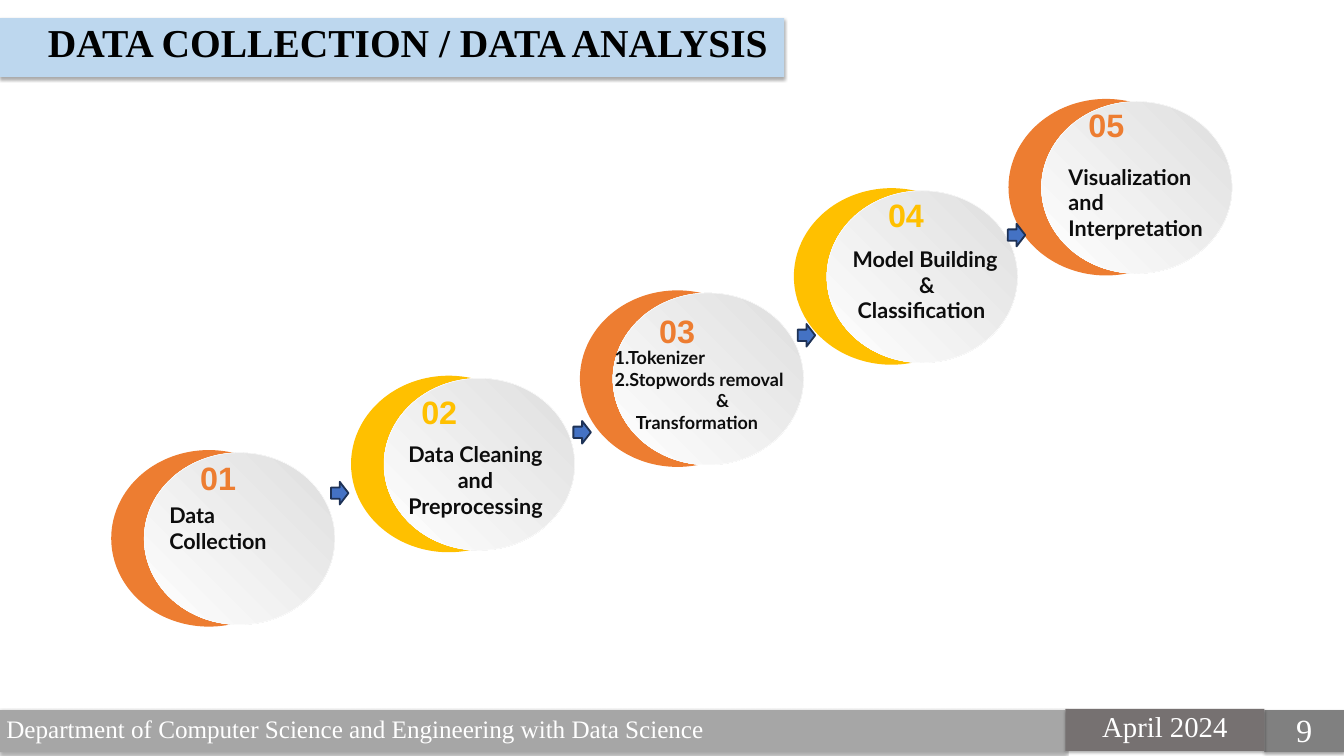
import pptx
import pptx.util
import pptx.dml.color
import pptx.enum.shapes
import pptx.enum.text
import pptx.oxml
import pptx.oxml.ns

Inches, Pt = pptx.util.Inches, pptx.util.Pt
RGBColor = pptx.dml.color.RGBColor
Shapes = pptx.enum.shapes.MSO_SHAPE
Align = pptx.enum.text.PP_ALIGN
LEFT, CENTER = Align.LEFT, Align.CENTER

BLACK = RGBColor(0x00, 0x00, 0x00)
WHITE = RGBColor(0xFF, 0xFF, 0xFF)
INK = RGBColor(0x0D, 0x0D, 0x0D)
TITLE_BLUE = RGBColor(0xBD, 0xD7, 0xEE)
FOOTER_GRAY = RGBColor(0xA6, 0xA6, 0xA6)
DATE_GRAY = RGBColor(0x76, 0x71, 0x71)
NUMBER_GRAY = RGBColor(0x80, 0x80, 0x80)
DISC_GRAY = RGBColor(0xDE, 0xDE, 0xDE)
ORANGE = RGBColor(0xED, 0x7D, 0x31)
GOLD = RGBColor(0xFF, 0xC0, 0x00)
ARROW_BLUE = RGBColor(0x44, 0x72, 0xC4)
ARROW_EDGE = RGBColor(0x1E, 0x32, 0x56)

SHADOW = (
    f'<a:effectLst {pptx.oxml.ns.nsdecls("a")}>'
    f'<a:outerShdw blurRad="{Pt(3.5)}" dist="{Pt(2.2)}" dir="5400000" rotWithShape="0">'
    '<a:srgbClr val="000000"><a:alpha val="32000"/></a:srgbClr>'
    '</a:outerShdw></a:effectLst>'
)


class Page:
    """The current slide and its style."""

    serif, number_font, label_font = "Times New Roman", "Arial", "Lato"

    def __init__(self, deck):
        self.shapes = deck.slides.add_slide(deck.slide_layouts[6]).shapes

    def set_lines(self, frame, lines, font, size, color, bold=False):
        """Each line is (text, alignment, left indent in inches)."""
        frame.word_wrap = True
        frame.text = "\n".join(line[0] for line in lines)
        for para, (_, align, indent) in zip(frame.paragraphs, lines):
            para.alignment = align
            if indent:
                para._p.get_or_add_pPr().set("marL", str(Inches(indent)))
            for span in para.runs:
                span.font.name, span.font.size = font, Pt(size)
                span.font.bold, span.font.color.rgb = bold, color

    def text(self, left, top, width, height, lines, font, size, color, bold=False):
        box = self.shapes.add_textbox(Inches(left), Inches(top), Inches(width), Inches(height))
        self.set_lines(box.text_frame, lines, font, size, color, bold)

    def shape(self, kind, left, top, width, height, fill, edge=None, edge_width=0):
        shape = self.shapes.add_shape(
            kind, Inches(left), Inches(top), Inches(width), Inches(height))
        shape.shadow.inherit = False
        if fill:
            shape.fill.solid()
            shape.fill.fore_color.rgb = fill
        if edge:
            shape.line.color.rgb = edge
            shape.line.width = Pt(edge_width)
        else:
            shape.line.fill.background()
        return shape

    def bar(self, left, top, width, height, fill, lines=(), size=32, color=WHITE, bold=False):
        bar = self.shape(Shapes.RECTANGLE, left, top, width, height, fill)
        properties = bar._element.spPr
        properties.remove(properties.find(pptx.oxml.ns.qn("a:effectLst")))
        properties.append(pptx.oxml.parse_xml(SHADOW))
        frame = bar.text_frame
        frame.margin_left = frame.margin_right = frame.margin_top = frame.margin_bottom = 0
        frame.vertical_anchor = pptx.enum.text.MSO_ANCHOR.TOP
        if lines:
            self.set_lines(frame, lines, self.serif, size, color, bold)

    def step(self, number, left, top, color, number_left, number_top):
        self.shape(Shapes.OVAL, left, top, 3.02, 2.73, color)
        disc = self.shape(Shapes.OVAL, left + 0.51, top + 0.04, 2.95, 2.66, None, WHITE, 0.5)
        disc.fill.gradient()
        disc.fill.gradient_angle = 225
        for stop, shade in zip(disc.fill.gradient_stops, (DISC_GRAY, WHITE)):
            stop.color.rgb = shade
        self.text(number_left, number_top, 1.33, 0.71, [(f"{number:02}", CENTER, 0)],
                  self.number_font, 36, color, True)

    def label(self, left, top, width, height, lines, size=24):
        self.text(left, top, width, height, lines, self.label_font, size, INK, True)

    def arrow(self, left, top):
        self.shape(Shapes.RIGHT_ARROW, left, top, 0.27, 0.35, ARROW_BLUE, ARROW_EDGE, 2)


def main():
    deck = pptx.Presentation()
    deck.slide_width, deck.slide_height = Inches(20.79), Inches(11.69)
    page = Page(deck)

    # Title
    page.bar(0, 0.28, 12.13, 0.91, TITLE_BLUE,
             [("DATA COLLECTION / DATA ANALYSIS", CENTER, 0.5)], 44, BLACK, True)

    # Footer
    page.bar(0, 10.98, 16.48, 0.65, FOOTER_GRAY)
    page.bar(19.56, 10.98, 1.23, 0.65, NUMBER_GRAY, [("9", CENTER, 0)], 36)
    page.bar(16.48, 10.96, 3.08, 0.65, DATE_GRAY, [("April 2024", CENTER, 0)])
    page.text(0, 10.98, 16.28, 0.57,
              [("Department of Computer Science and Engineering with Data Science", LEFT, 0)],
              page.serif, 28, WHITE)

    # Numbered steps: corner of the crescent, corner of the number
    steps = [(1.72, 6.96, 2.71, 7.03), (5.43, 5.81, 6.13, 6.01), (8.97, 4.49, 9.81, 4.76),
             (12.28, 2.91, 13.35, 2.97), (15.6, 1.53, 16.45, 1.58)]
    for number, (left, top, number_left, number_top) in enumerate(steps, 1):
        page.step(number, left, top, ORANGE if number % 2 else GOLD, number_left, number_top)

    # Step labels
    page.label(2.52, 7.71, 2.43, 0.5, [("Data Collection", LEFT, 0)])
    page.label(6.07, 6.77, 2.57, 1.31, [("Data Cleaning and Preprocessing", CENTER, 0)])
    page.label(9.41, 5.31, 3.54, 1.45,
               [("1.Tokenizer", LEFT, 0), ("2.Stopwords removal", LEFT, 0),
                ("&", CENTER, 0), ("Transformation", LEFT, 0.33)], 20)
    page.label(13.09, 3.75, 2.5, 1.31,
               [("Model Building", LEFT, 0), ("&", CENTER, 0), ("Classification", LEFT, 0.08)])
    page.label(16.43, 2.48, 2.64, 0.91, [("Visualization and Interpretation", LEFT, 0)])

    # Arrows between the steps
    for left, top in [(5.12, 7.45), (8.87, 6.51), (12.34, 5.01), (15.59, 3.46)]:
        page.arrow(left, top)

    deck.save("out.pptx")


if __name__ == "__main__":
    main()
